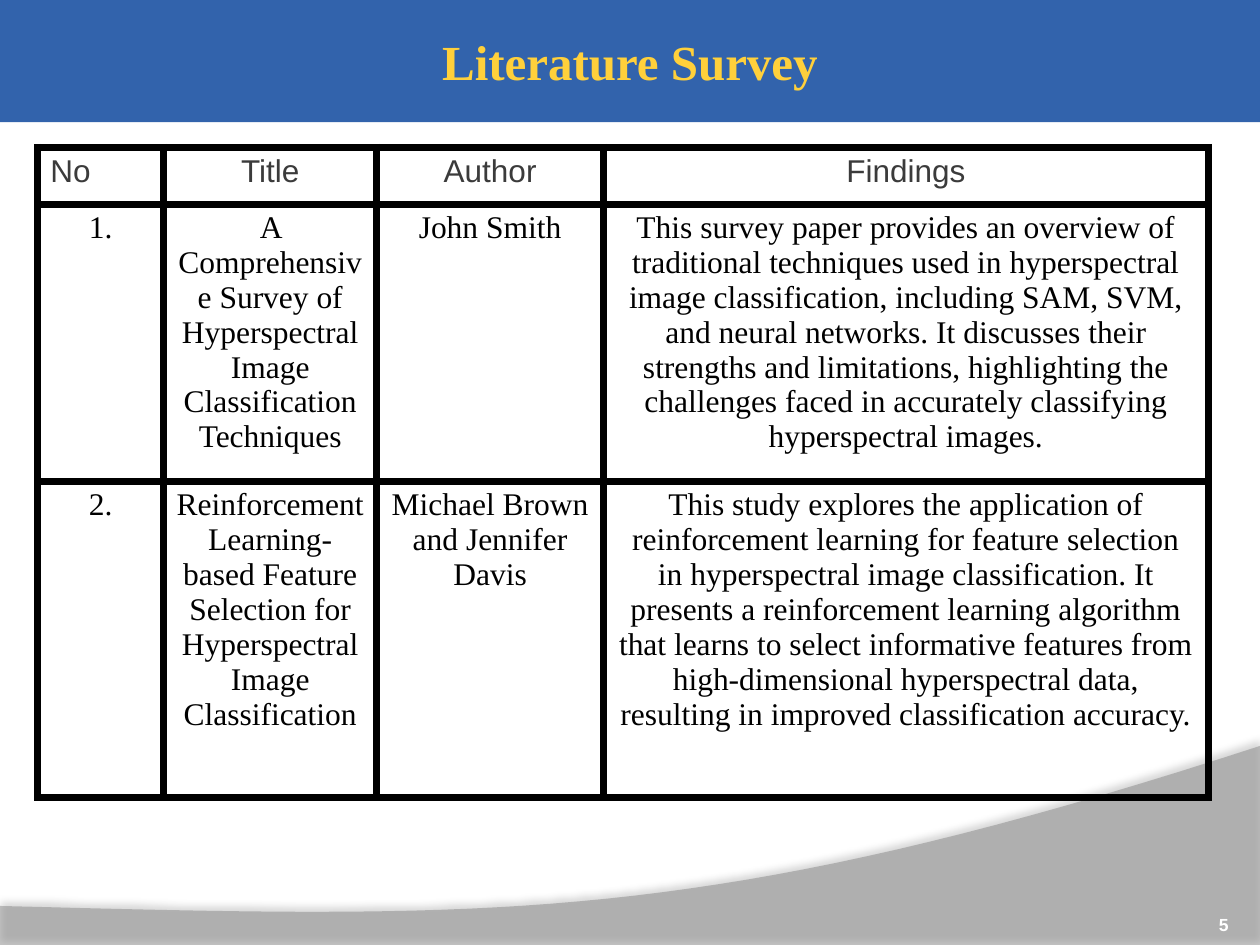
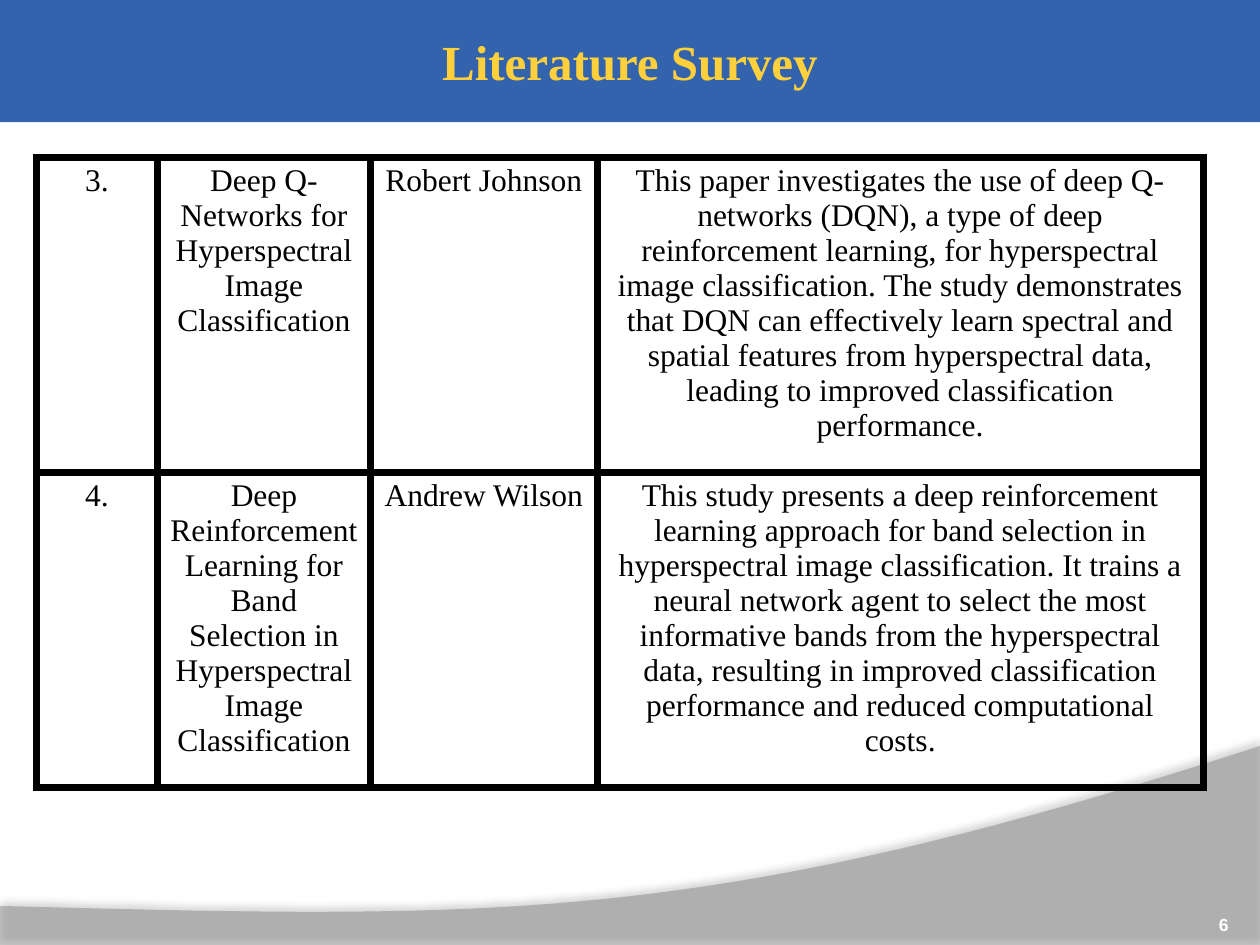
"""Build two literature survey slides with a shared title band, wave and page number."""
from dataclasses import dataclass

from lxml import etree
from pptx import Presentation
from pptx import util as u
from pptx.dml.color import RGBColor
from pptx.enum import shapes, text
from pptx.oxml import parse_xml
from pptx.oxml.ns import nsdecls, qn

COLOURS = {
    "band": "3263AC",
    "title": "FFD03B",
    "wave": "7F7F7F",
    "page": "FFFFFF",
    "header": "3B3B3B",
    "body": "000000",
    "border": "000000",
}
SERIF, SANS = "Times New Roman", "Arial"
TITLE = "Literature Survey"
HEADINGS = ("No", "Title", "Author", "Findings")
CURVE = ((10, 5.92), (5.59, 7.36), (3.91, 7.29), (0, 7.19))
CURVE_STEPS = 40
FIT_TEXT = 0


@dataclass(frozen=True)
class Style:
    """Look of a run and its paragraph."""
    font: str
    size: float
    colour: str
    bold: bool = False
    align: text.PP_ALIGN = text.PP_ALIGN.CENTER


@dataclass(frozen=True)
class Study:
    """One surveyed paper."""
    number: str
    title: str
    author: str
    findings: str

    def cells(self) -> tuple[str, ...]:
        """Return the words of the table row."""
        return self.number, self.title, self.author, self.findings


@dataclass(frozen=True)
class Survey:
    """Contents and grid of one slide."""
    page: int
    left: float
    top: float
    height: float
    columns: tuple[float, ...]
    rows: tuple[float, ...]
    studies: tuple[Study, ...]
    headed: bool = False


TITLE_STYLE = Style(SERIF, 28, "title", bold=True)
PAGE_STYLE = Style(SANS, 10, "page", bold=True, align=text.PP_ALIGN.RIGHT)
HEADER_STYLE = Style(SANS, 18, "header")
NUMBER_HEADER_STYLE = Style(SANS, 18, "header", align=text.PP_ALIGN.LEFT)
BODY_STYLE = Style(SERIF, 18, "body")

SURVEYS = (
    Survey(5, 0.3, 1.17, 5.16, (1, 1.69, 1.8, 4.8), (0.45, FIT_TEXT, 2.51), (
        Study(
            "1.",
            "A Comprehensive Survey of Hyperspectral Image Classification Techniques",
            "John Smith",
            "This survey paper provides an overview of traditional techniques used in "
            "hyperspectral image classification, including SAM, SVM, and neural networks. "
            "It discusses their strengths and limitations, highlighting the challenges "
            "faced in accurately classifying hyperspectral images.",
        ),
        Study(
            "2.",
            "Reinforcement Learning-based Feature Selection for Hyperspectral Image "
            "Classification",
            "Michael Brown and Jennifer Davis",
            "This study explores the application of reinforcement learning for feature "
            "selection in hyperspectral image classification. It presents a reinforcement "
            "learning algorithm that learns to select informative features from "
            "high-dimensional hyperspectral data, resulting in improved classification "
            "accuracy.",
        ),
    ), headed=True),
    Survey(6, 0.29, 1.25, 5, (0.96, 1.69, 1.8, 4.81), (1.85, FIT_TEXT), (
        Study(
            "3.",
            "Deep Q-Networks for Hyperspectral Image Classification",
            "Robert Johnson",
            "This paper investigates the use of deep Q-networks (DQN), a type of deep "
            "reinforcement learning, for hyperspectral image classification. The study "
            "demonstrates that DQN can effectively learn spectral and spatial features "
            "from hyperspectral data, leading to improved classification performance.",
        ),
        Study(
            "4.",
            "Deep Reinforcement Learning for Band Selection in Hyperspectral Image "
            "Classification",
            "Andrew Wilson",
            "This study presents a deep reinforcement learning approach for band selection "
            "in hyperspectral image classification. It trains a neural network agent to "
            "select the most informative bands from the hyperspectral data, resulting in "
            "improved classification performance and reduced computational costs.",
        ),
    )),
)


def colour(name: str) -> RGBColor:
    """Look up a named colour."""
    return RGBColor.from_string(COLOURS[name])


def write(frame, words: str, style: Style) -> None:
    """Put one styled run into the first paragraph of a text frame."""
    paragraph = frame.paragraphs[0]
    paragraph.alignment = style.align
    run = paragraph.add_run()
    run.text = words
    run.font.name = style.font
    run.font.size = u.Pt(style.size)
    run.font.bold = style.bold
    run.font.color.rgb = colour(style.colour)


def set_frame(frame, anchor: text.MSO_ANCHOR, margin: float) -> None:
    """Wrap a text frame and set its anchor and equal margins."""
    frame.word_wrap = True
    frame.vertical_anchor = anchor
    frame.margin_left = frame.margin_right = u.Inches(margin)
    frame.margin_top = frame.margin_bottom = u.Inches(margin)


def curve_point(t: float) -> tuple[float, float]:
    """Return the point at t on the cubic wave edge."""
    weights = ((1 - t) ** 3, 3 * t * (1 - t) ** 2, 3 * t ** 2 * (1 - t), t ** 3)
    x, y = (sum(w * p[axis] for w, p in zip(weights, CURVE)) for axis in (0, 1))
    return x, y


def draw_wave(slide) -> None:
    """Draw the translucent wave along the bottom, with its upward shadow."""
    edge = [curve_point(step / CURVE_STEPS) for step in range(CURVE_STEPS + 1)]
    start, *rest = [(u.Inches(x), u.Inches(y)) for x, y in [(0, 7.51), (10, 7.51), *edge]]
    builder = slide.shapes.build_freeform(*start)
    builder.add_line_segments(rest, close=True)
    wave = builder.convert_to_shape()
    wave.fill.solid()
    wave.fill.fore_color.rgb = colour("wave")
    wave.line.fill.background()
    properties = wave.element.spPr
    tint = properties.find(qn("a:solidFill"))[0]
    etree.SubElement(tint, qn("a:alpha"), val="45000")
    properties.append(parse_xml(
        f'<a:effectLst {nsdecls("a")}>'
        f'<a:outerShdw blurRad="{u.Pt(4)}" dist="{u.Pt(3.5)}" dir="16200000" '
        'algn="b" rotWithShape="0">'
        '<a:srgbClr val="000000"><a:alpha val="35000"/></a:srgbClr>'
        '</a:outerShdw></a:effectLst>'))


def draw_band(slide) -> None:
    """Draw the title band."""
    band = slide.shapes.add_shape(
        shapes.MSO_SHAPE.RECTANGLE,
        u.Inches(0), u.Inches(-0.01), u.Inches(10), u.Inches(0.98))
    band.shadow.inherit = False
    band.fill.solid()
    band.fill.fore_color.rgb = colour("band")
    band.line.fill.background()
    set_frame(band.text_frame, text.MSO_ANCHOR.MIDDLE, 0.05)
    write(band.text_frame, TITLE, TITLE_STYLE)


def draw_page_number(slide, page: int) -> None:
    """Draw the page number in the bottom right corner."""
    corner = slide.shapes.add_textbox(
        u.Inches(8.92), u.Inches(7.02), u.Inches(0.83), u.Inches(0.4))
    set_frame(corner.text_frame, text.MSO_ANCHOR.BOTTOM, 0)
    write(corner.text_frame, str(page), PAGE_STYLE)


def outline_cell(cell) -> None:
    """Give a cell heavy borders on all sides and no fill."""
    properties = cell._tc.get_or_add_tcPr()
    for side in ("lnL", "lnR", "lnT", "lnB"):
        properties.append(parse_xml(
            f'<a:{side} {nsdecls("a")} w="{u.Pt(4.5)}"><a:solidFill>'
            f'<a:srgbClr val="{COLOURS["border"]}"/></a:solidFill></a:{side}>'))
    cell.fill.background()


def cell_style(headed: bool, row: int, column: int) -> Style:
    """Choose the style for a place in the table."""
    if not headed or row > 0:
        return BODY_STYLE
    return NUMBER_HEADER_STYLE if column == 0 else HEADER_STYLE


def draw_table(slide, survey: Survey) -> None:
    """Draw the table of studies."""
    lines = [study.cells() for study in survey.studies]
    if survey.headed:
        lines.insert(0, HEADINGS)
    grid = slide.shapes.add_table(
        len(lines), len(HEADINGS), u.Inches(survey.left), u.Inches(survey.top),
        u.Inches(sum(survey.columns)), u.Inches(survey.height))
    table = grid.table
    table.first_row = table.horz_banding = False
    for column, width in zip(table.columns, survey.columns):
        column.width = u.Inches(width)
    for row, height in zip(table.rows, survey.rows):
        row.height = u.Inches(height)
    grid.height = u.Inches(survey.height)
    for r, line in enumerate(lines):
        for c, words in enumerate(line):
            cell = table.cell(r, c)
            outline_cell(cell)
            write(cell.text_frame, words, cell_style(survey.headed, r, c))


def main() -> None:
    """Build and save the presentation."""
    deck = Presentation()
    deck.slide_width, deck.slide_height = u.Inches(10), u.Inches(7.5)
    for survey in SURVEYS:
        slide = deck.slides.add_slide(deck.slide_layouts[6])
        draw_wave(slide)
        draw_band(slide)
        draw_page_number(slide, survey.page)
        draw_table(slide, survey)
    deck.save("out.pptx")


main()
